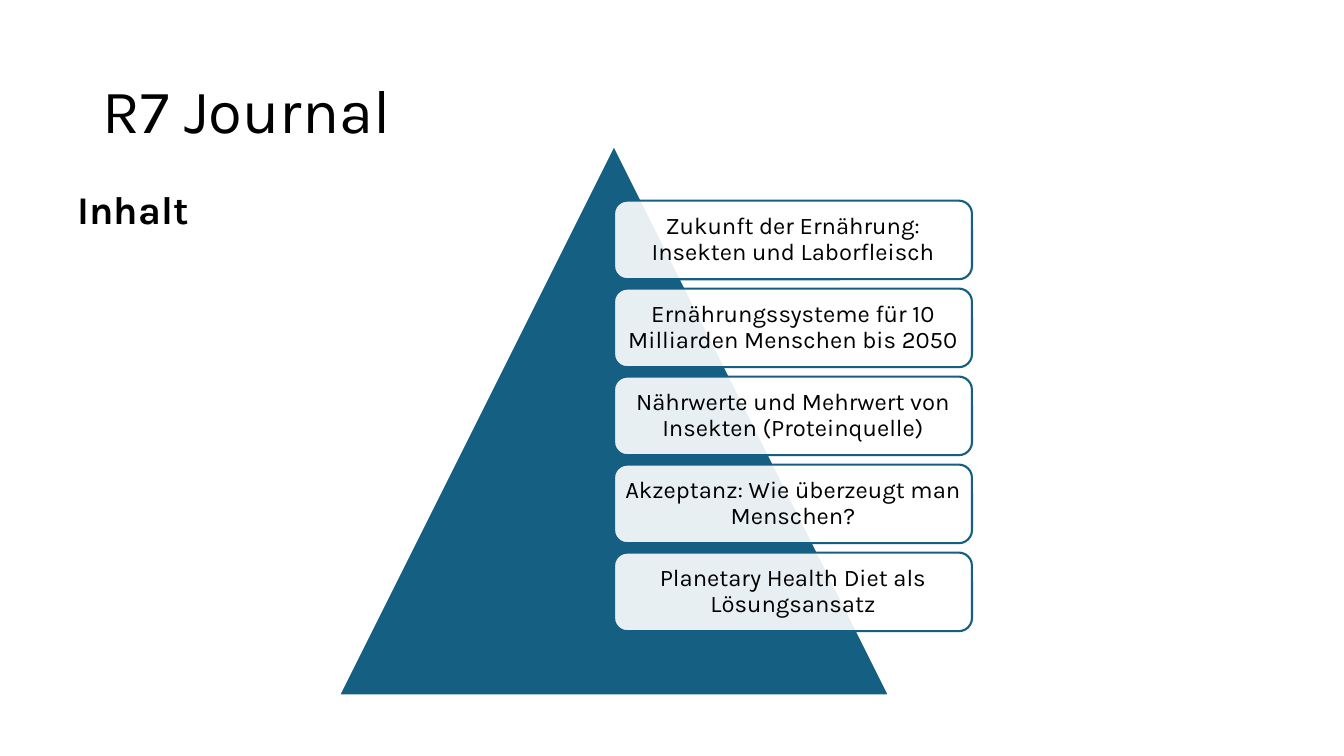
import pptx
import pptx.util
import pptx.dml.color
import pptx.enum.shapes
import pptx.enum.text
import lxml.etree

Inches = pptx.util.Inches
Pt = pptx.util.Pt
Shape = pptx.enum.shapes.MSO_SHAPE
Align = pptx.enum.text.PP_ALIGN
Anchor = pptx.enum.text.MSO_ANCHOR

TOPICS = [
    "Zukunft der Ernährung: Insekten und Laborfleisch",
    "Ernährungssysteme für 10 Milliarden Menschen bis 2050",
    "Nährwerte und Mehrwert von Insekten (Proteinquelle)",
    "Akzeptanz: Wie überzeugt man Menschen?",
    "Planetary Health Diet als Lösungsansatz",
]


def color(code):
    return pptx.dml.color.RGBColor.from_string(code)


def write(frame, text, size=17, bold=False, align=Align.LEFT,
          anchor=Anchor.TOP, inset=None, ink="000000", font="Karla"):
    frame.word_wrap = True
    frame.auto_size = pptx.enum.text.MSO_AUTO_SIZE.NONE
    frame.vertical_anchor = anchor
    if inset is not None:
        frame.margin_left = frame.margin_right = Inches(inset)
        frame.margin_top = frame.margin_bottom = Inches(inset)
    para = frame.paragraphs[0]
    para.alignment = align
    para.line_spacing = 0.9
    run = para.add_run()
    run.text = text
    run.font.name = font
    run.font.size = Pt(size)
    run.font.bold = bold
    run.font.color.rgb = color(ink)


class Page:
    blue = "156082"
    white = "FFFFFF"

    def __init__(self, deck):
        self.slide = deck.slides.add_slide(deck.slide_layouts[5])
        self.shapes = self.slide.shapes

    def title(self, text, left, top, width, height):
        box = self.shapes.title
        box.left, box.top = Inches(left), Inches(top)
        box.width, box.height = Inches(width), Inches(height)
        write(box.text_frame, text, size=44, anchor=Anchor.MIDDLE)

    def label(self, text, left, top, width, height):
        box = self.shapes.add_textbox(
            Inches(left), Inches(top), Inches(width), Inches(height))
        write(box.text_frame, text, size=28, bold=True)

    def form(self, kind, left, top, width, height, fill, line):
        form = self.shapes.add_shape(
            kind, Inches(left), Inches(top), Inches(width), Inches(height))
        form.shadow.inherit = False
        form.fill.solid()
        form.fill.fore_color.rgb = color(fill)
        form.line.color.rgb = color(line)
        form.line.width = Pt(1.5)
        return form

    def peak(self, left, top, side):
        self.form(Shape.ISOSCELES_TRIANGLE, left, top, side, side,
                  self.blue, self.white)

    def card(self, text, left, top, width, height):
        card = self.form(Shape.ROUNDED_RECTANGLE, left, top, width, height,
                         self.white, self.blue)
        tint = card.fill._xPr.find(".//" + pptx.oxml.ns.qn("a:srgbClr"))
        alpha = lxml.etree.SubElement(tint, pptx.oxml.ns.qn("a:alpha"))
        alpha.set("val", "90000")
        write(card.text_frame, text, align=Align.CENTER,
              anchor=Anchor.MIDDLE, inset=0.07)


def main():
    deck = pptx.Presentation()
    deck.slide_width = Inches(13.33)
    deck.slide_height = Inches(7.5)
    page = Page(deck)
    page.title("R7 Journal", 0.92, 0.4, 11.5, 1.45)
    page.peak(3.36, 1.44, 5.46)
    for row, topic in enumerate(TOPICS):
        page.card(topic, 6.09, 1.99 + row * 0.873, 3.55, 0.78)
    page.label("Inhalt", 0.67, 1.84, 11.65, 0.58)
    deck.save("out.pptx")


if __name__ == "__main__":
    main()
